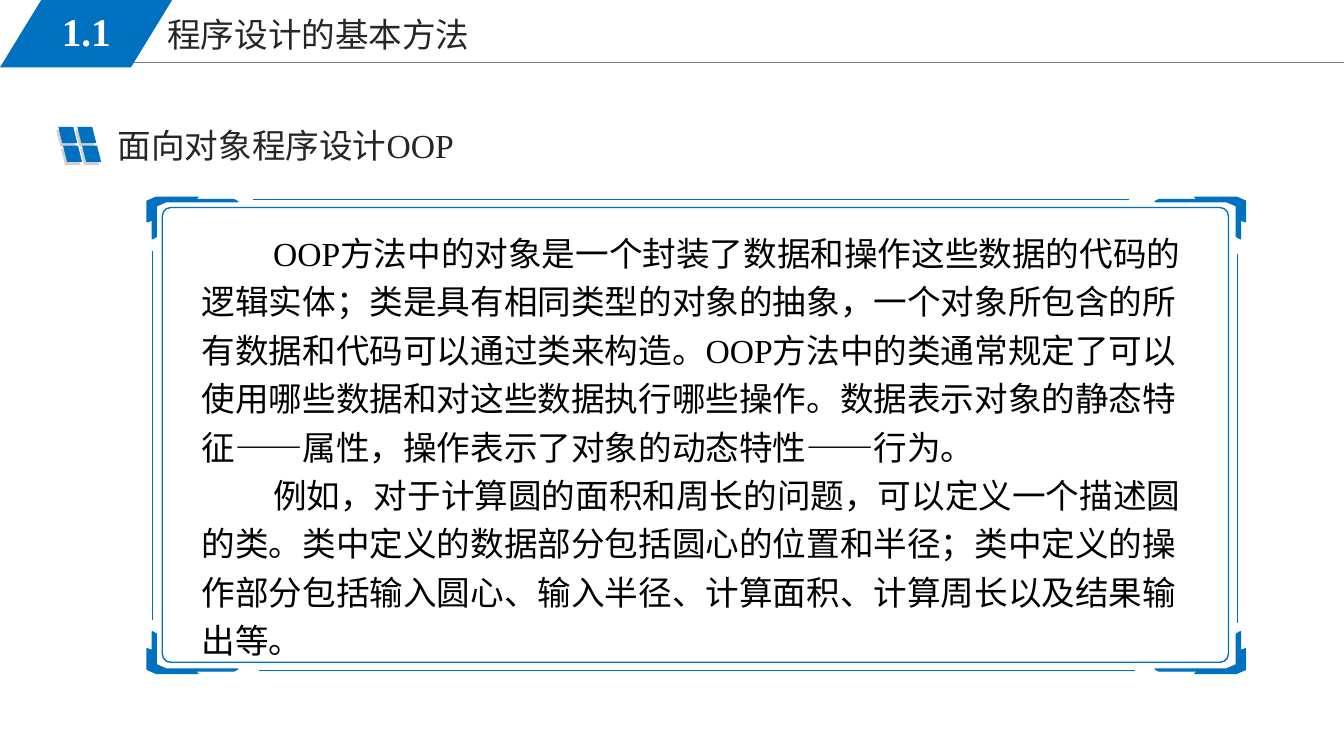
from lxml import etree
from pptx import Presentation
from pptx.dml.color import RGBColor
from pptx.enum import shapes as kinds, text as modes
from pptx.oxml import ns
from pptx.util import Cm, Pt

BLUE = RGBColor(0x00, 0x70, 0xC0)
GREY = RGBColor(0x80, 0x80, 0x80)
PALE = RGBColor(0xD0, 0xCE, 0xCE)
DARK = RGBColor(0x26, 0x26, 0x26)
BLACK = RGBColor(0, 0, 0)
WHITE = RGBColor(255, 255, 255)
SANS = "Noto Sans CJK SC"
SERIF = "Times New Roman"

TITLE = "程序设计的基本方法"
NUMBER = "1.1"
HEADING = "面向对象程序设计OOP"
BODY = [
    "OOP方法中的对象是一个封装了数据和操作这些数据的代码的逻辑实体；"
    "类是具有相同类型的对象的抽象，一个对象所包含的所有数据和代码可以通过类来构造。"
    "OOP方法中的类通常规定了可以使用哪些数据和对这些数据执行哪些操作。"
    "数据表示对象的静态特征——属性，操作表示了对象的动态特性——行为。",
    "例如，对于计算圆的面积和周长的问题，可以定义一个描述圆的类。"
    "类中定义的数据部分包括圆心的位置和半径；类中定义的操作部分包括输入圆心、"
    "输入半径、计算面积、计算周长以及结果输出等。",
]

TILES = [(1.42, 3.28, PALE), (1.47, 3.2, BLUE)]
CORNER = [(0.23, 0), (1.28, 0), (1.15, 0.06), (2.18, 0.06), (2.28, 0.11),
          (0.48, 0.11), (0.23, 0.22), (0.23, 0.99), (0.13, 1.05),
          (0.13, 0.57), (0, 0.62), (0, 0.1)]
CORNERS = [(3.71, 4.97, 1, 1), (31.39, 4.97, -1, 1),
           (3.71, 16.97, 1, -1), (31.39, 16.97, -1, -1)]
EDGES = [(6.38, 5.03, 28.45, 5.03), (6.53, 16.89, 28.6, 16.89),
         (3.84, 6.32, 3.84, 15.62), (31.19, 6.4, 31.19, 15.7)]


def add_line(slide, ends, color, width):
    line = slide.shapes.add_connector(
        kinds.MSO_CONNECTOR.STRAIGHT, *map(Cm, ends))
    line.line.color.rgb = color
    line.line.width = Pt(width)
    etree.SubElement(line.element.spPr, ns.qn("a:effectLst"))


def add_form(slide, kind, box, fill):
    form = slide.shapes.add_shape(kind, *map(Cm, box))
    form.shadow.inherit = False
    paint(form, fill)
    return form


def paint(form, fill):
    if fill is None:
        form.fill.background()
        form.line.color.rgb = BLUE
        form.line.width = Pt(1)
    else:
        form.fill.solid()
        form.fill.fore_color.rgb = fill
        form.line.fill.background()


def write(form, box, lines, face, size, color, bold=False,
          align=modes.PP_ALIGN.LEFT, anchor=modes.MSO_ANCHOR.TOP,
          indent=0, space=1.0):
    form.left, form.top, form.width, form.height = map(Cm, box)
    frame = form.text_frame
    frame.word_wrap = True
    frame.auto_size = modes.MSO_AUTO_SIZE.NONE
    frame.vertical_anchor = anchor
    frame.text = "\n".join(lines)
    for para in frame.paragraphs:
        para.alignment = align
        para.line_spacing = space
        para.space_before = Pt(0)
        props = para._p.get_or_add_pPr()
        props.set("marL", "0")
        props.set("indent", str(Cm(indent)))
        etree.SubElement(props, ns.qn("a:buNone"))
        font = para.font
        font.size = Pt(size)
        font.bold = bold
        font.color.rgb = color
        font.name = face
        east = etree.SubElement(props.find(ns.qn("a:defRPr")), ns.qn("a:ea"))
        east.set("typeface", SANS)


def add_text(slide, box, *args, **opts):
    write(slide.shapes.add_textbox(*map(Cm, box)), box, *args, **opts)


def add_head(slide):
    add_line(slide, (2.87, 1.57, 33.87, 1.57), GREY, 0.75)
    write(slide.shapes.title, (3.96, 0.23, 14.4, 1.3), [TITLE], SANS, 24, DARK)
    tag = add_form(slide, kinds.MSO_SHAPE.PARALLELOGRAM, (0, 0, 4.34, 1.7), BLUE)
    tag.adjustments[0] = 0.612
    add_text(slide, (0.64, 0.05, 3.07, 1.47), [NUMBER], SERIF, 28, WHITE,
             bold=True, align=modes.PP_ALIGN.CENTER,
             anchor=modes.MSO_ANCHOR.MIDDLE)


def add_tiles(slide):
    for left, top, color in TILES:
        for col in range(2):
            for row in range(2):
                box = (left + 0.48 * col + 0.12 * row, top + 0.47 * row, 0.48, 0.41)
                tile = add_form(slide, kinds.MSO_SHAPE.PARALLELOGRAM, box, color)
                tile.element.spPr.find(ns.qn("a:xfrm")).set("flipH", "1")


def add_frame(slide):
    panel = add_form(slide, kinds.MSO_SHAPE.ROUNDED_RECTANGLE,
                     (4.09, 5.23, 26.87, 11.46), None)
    panel.adjustments[0] = 0.019
    for left, top, across, down in CORNERS:
        dots = [(Cm(left + across * x), Cm(top + down * y)) for x, y in CORNER]
        path = slide.shapes.build_freeform(*dots[0])
        path.add_line_segments(dots[1:], close=True)
        corner = path.convert_to_shape()
        corner.shadow.inherit = False
        paint(corner, BLUE)
        corner.line.color.rgb = BLUE
        corner.line.width = Pt(1)
    for ends in EDGES:
        add_line(slide, ends, BLUE, 1)


def main():
    deck = Presentation()
    deck.slide_width, deck.slide_height = Cm(33.87), Cm(19.05)
    slide = deck.slides.add_slide(deck.slide_layouts[1])
    add_head(slide)
    add_tiles(slide)
    add_text(slide, (2.72, 3.02, 15.21, 1.27), [HEADING], SERIF, 24, DARK)
    add_frame(slide)
    write(slide.placeholders[1], (4.83, 5.54, 25.32, 11.23), BODY, SERIF, 24,
          BLACK, indent=1.8, space=1.2)
    deck.save("out.pptx")


if __name__ == "__main__":
    main()
